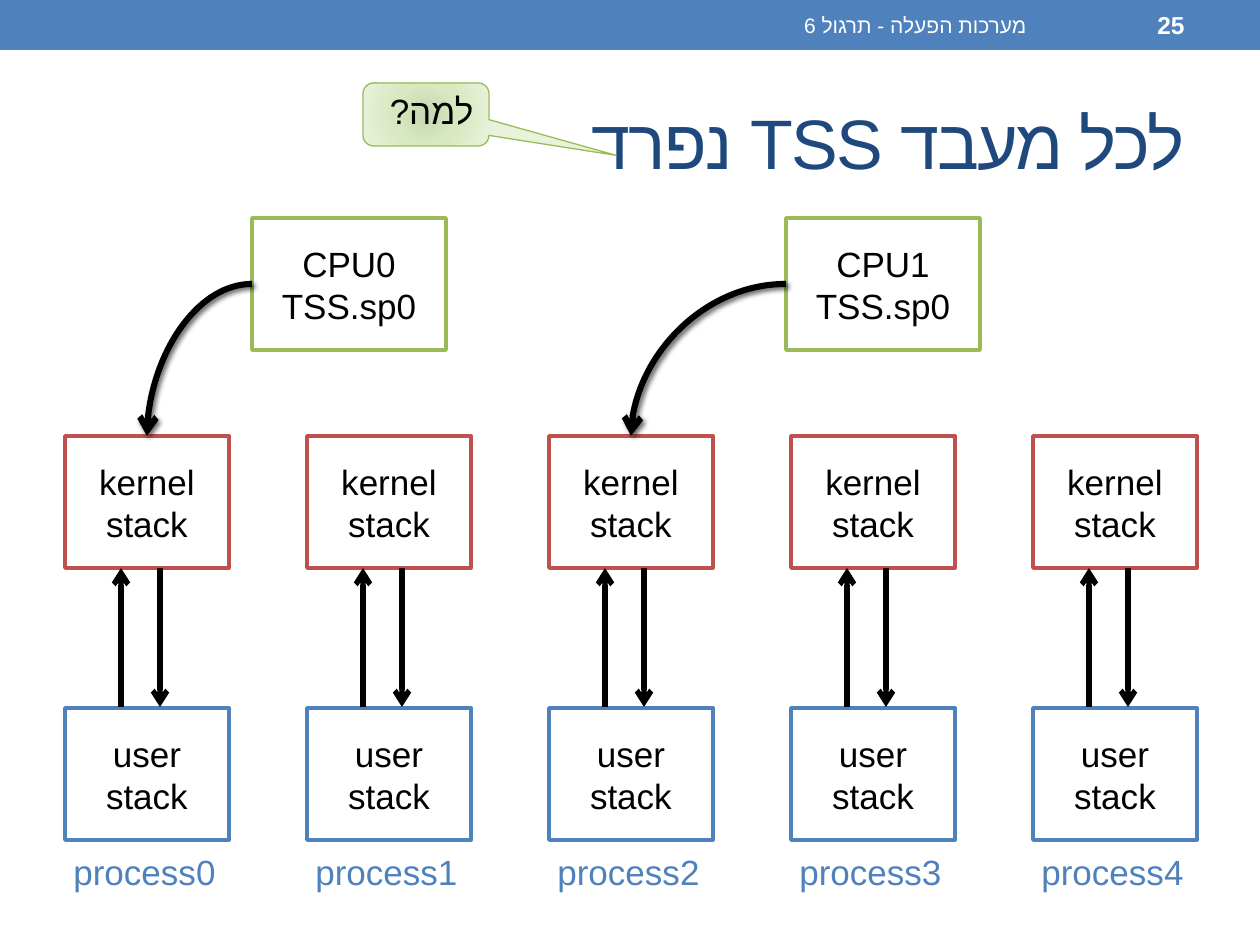
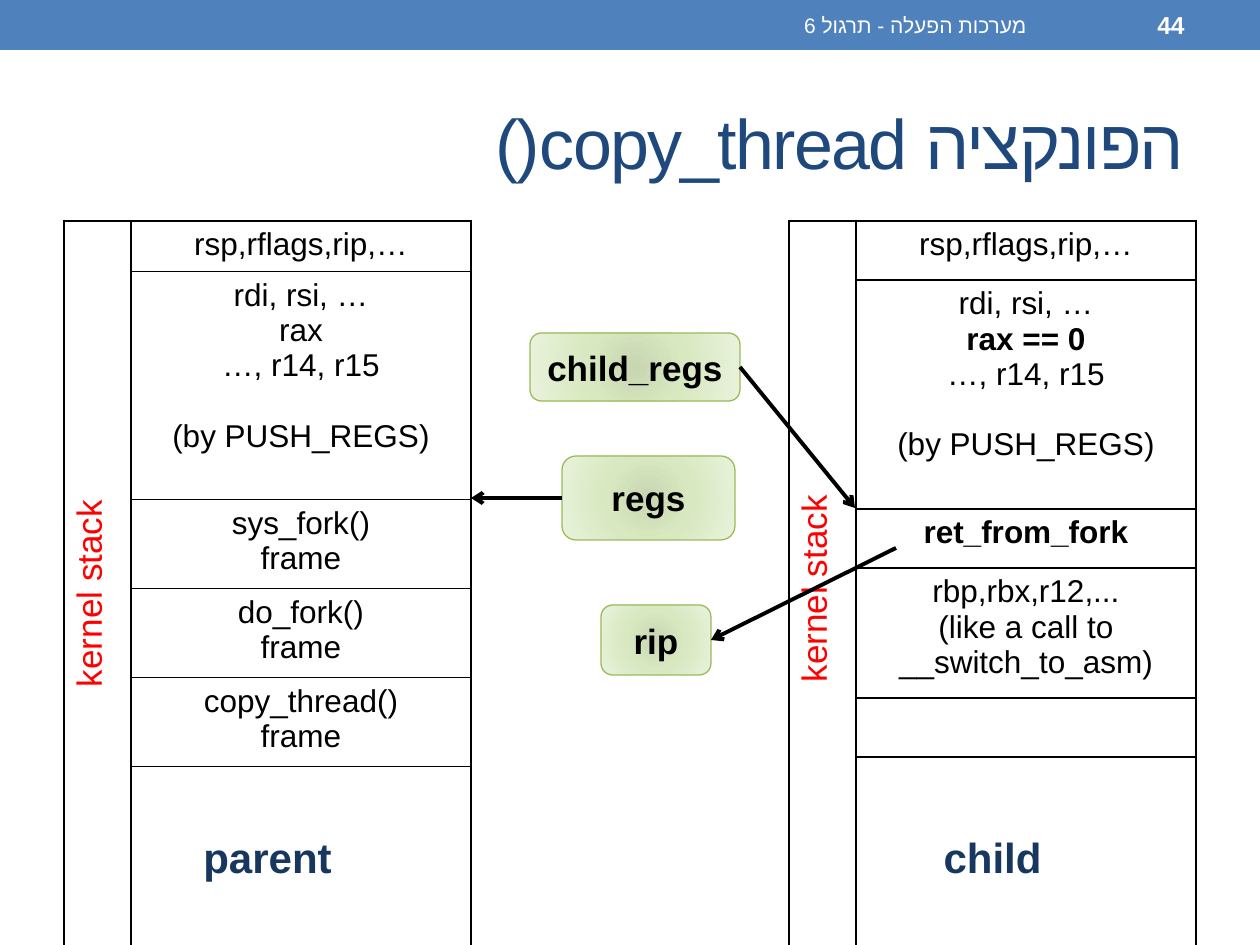
import lxml.etree
import pptx
import pptx.dml.color
import pptx.enum.shapes
import pptx.enum.text
import pptx.oxml
import pptx.oxml.ns
import pptx.util

PX = 914400 / 126  # EMU in one px
SHAPE = pptx.enum.shapes.MSO_SHAPE
CONNECTOR = pptx.enum.shapes.MSO_CONNECTOR
ALIGN = pptx.enum.text.PP_ALIGN
rgb = pptx.dml.color.RGBColor.from_string
pt = pptx.util.Pt
qn = pptx.oxml.ns.qn
nsdecls = pptx.oxml.ns.nsdecls


class Theme:
    font = "Arial"
    blue, red, green = "4F81BD", "C0504D", "9BBB59"
    white, black = "FFFFFF", "000000"
    gradient = ((0, "C8D7B2"), (45, "D8E8C0"), (100, "E9F3DC"))
    # type styles: size, colour, bold
    title = (40, "1F497D", False)
    course = (12, white, False)
    number = (14, white, True)
    box = (20, black, False)
    pill = (20, black, True)
    process = (20, blue, False)
    cell = (18, black, False)
    stack_side = (20, "FF0000", False)
    owner = (24, "17375E", True)


def write(frame, text, style, align=ALIGN.CENTER, rtl=False):
    """Fill a text frame with one style; a newline starts a paragraph."""
    size, color, bold = style
    frame.text = text
    frame.word_wrap = True
    for paragraph in frame.paragraphs:
        paragraph.alignment = align
        if rtl:
            paragraph._p.get_or_add_pPr().set("rtl", "1")
        for run in paragraph.runs:
            for name, value in {"name": Theme.font, "size": pt(size), "bold": bold}.items():
                setattr(run.font, name, value)
            run.font.color.rgb = rgb(color)
            lxml.etree.SubElement(run._r.get_or_add_rPr(), qn("a:cs"), typeface=Theme.font)


def add_box(slide, preset, at, text, style, outline=None, weight=2.08, **layout):
    """Add a text box (no preset), a white outlined box, or a green gradient one."""
    at = [round(value * PX) for value in at]
    if preset is None:
        box = slide.shapes.add_textbox(*at)
    else:
        box = slide.shapes.add_shape(preset, *at)
        box.shadow.inherit = False
        box.line.color.rgb = rgb(outline)
        box.line.width = pt(weight)
        if preset == SHAPE.RECTANGLE:
            box.fill.solid()
            box.fill.fore_color.rgb = rgb(Theme.white)
        else:
            stops = "".join(
                f'<a:gs pos="{pos * 1000}"><a:srgbClr val="{color}"/></a:gs>'
                for pos, color in Theme.gradient)
            box._element.spPr.insert(2, pptx.oxml.parse_xml(
                f'<a:gradFill {nsdecls("a")}><a:gsLst>{stops}</a:gsLst><a:path path="circle">'
                '<a:fillToRect l="100000" t="100000" r="100000" b="100000"/>'
                '</a:path></a:gradFill>'))
    box.text_frame.vertical_anchor = pptx.enum.text.MSO_ANCHOR.MIDDLE
    write(box.text_frame, text, style, **layout)
    return box


deck = pptx.Presentation()
deck.slide_width = round(1260 * PX)
deck.slide_height = round(945 * PX)

# Shared layout: title place and top band
title_only = deck.slide_layouts[5]
title_place = {"left": 63, "top": 73, "width": 1134, "height": 136}
for name, value in title_place.items():
    setattr(title_only.placeholders[0], name, round(value * PX))

slides = []
for number, heading in (("25", "לכל מעבד TSS נפרד"), ("44", "הפונקציה copy_thread()")):
    slide = deck.slides.add_slide(title_only)
    slides.append(slide)
    heading_frame = slide.shapes.title.text_frame
    heading_frame.vertical_anchor = pptx.enum.text.MSO_ANCHOR.MIDDLE
    write(heading_frame, heading, Theme.title, ALIGN.RIGHT, rtl=True)
    for run in heading_frame.paragraphs[0].runs:
        run._r.get_or_add_rPr().set("spc", "-100")
    for at, text, style in (((472, 2, 567, 46), "מערכות הפעלה - תרגול 6", Theme.course),
                            ((1050, 2, 147, 46), number, Theme.number)):
        add_box(slide, None, at, text, style, align=ALIGN.RIGHT, rtl=True)
tss_slide, fork_slide = slides

band = tss_slide.shapes.add_shape(SHAPE.RECTANGLE, 0, 0, deck.slide_width, round(50 * PX))
band.shadow.inherit = False
band.fill.solid()
band.fill.fore_color.rgb = rgb(Theme.blue)
band.line.fill.background()
title_only.shapes.element.insert(2, band.element)

# Arrows: slide, kind, start, end, weight, (box, side) at start, (box, side) at end
arrows = []

# TSS slide: one kernel stack and one user stack per process
kernel_stacks = []
for process in range(5):
    shift = 242 * process
    kernel_stacks.append(add_box(tss_slide, SHAPE.RECTANGLE, (65 + shift, 436, 164, 132),
                                 "kernel stack", Theme.box, Theme.red))
    add_box(tss_slide, SHAPE.RECTANGLE, (65 + shift, 708, 164, 132),
            "user stack", Theme.box, Theme.blue)
    add_box(tss_slide, None, (50 + shift, 847, 189, 49), f"process{process}", Theme.process)
    for start, end in (((121, 707), (121, 568)), ((160, 568), (160, 707))):
        arrows.append((tss_slide, CONNECTOR.STRAIGHT, (start[0] + shift, start[1]),
                       (end[0] + shift, end[1]), 3, None, None))

# TSS slide: each CPU points at the kernel stack of its running process
for cpu, (left, process) in enumerate(((252, 0), (786, 2))):
    tss = add_box(tss_slide, SHAPE.RECTANGLE, (left, 218, 194, 132),
                  f"CPU{cpu}\nTSS.sp0", Theme.box, Theme.green)
    arrows.append((tss_slide, CONNECTOR.CURVE, (left, 284), (147 + 242 * process, 436), 3.5,
                   (tss, 1), (kernel_stacks[process], 0)))

why = add_box(tss_slide, SHAPE.ROUNDED_RECTANGULAR_CALLOUT, (363, 83, 126, 63), "למה?",
              Theme.box, Theme.green, 0.75, align=ALIGN.RIGHT, rtl=True)
for index, value in enumerate((1.51, 0.65, 0.17)):
    why.adjustments[index] = value
why.text_frame.paragraphs[0].line_spacing = 0.8
why.text_frame.paragraphs[0].space_before = pt(4)

# Fork slide: kernel stacks of parent and child, as (row height, text)
parent_rows = (
    (50, "rsp,rflags,rip,…"),
    (228, "rdi, rsi, …\vrax\v…, r14, r15\n(by PUSH_REGS)"),
    (89, "sys_fork()\nframe"),
    (89, "do_fork()\nframe"),
    (89, "copy_thread()\nframe"),
    (50, ""),
)
child_rows = (
    (59, "rsp,rflags,rip,…"),
    (229, "rdi, rsi, …\nrax == 0\n…, r14, r15\n(by PUSH_REGS)"),
    (59, "ret_from_fork"),
    (130, "rbp,rbx,r12,...\v(like a call to __switch_to_asm)"),
    (59, ""),
    (59, ""),
)
emphasised = ("rax == 0", "ret_from_fork")
column_widths = (67, 340)

for left, owner, owner_left, rows in ((64, "parent", 156, parent_rows),
                                      (789, "child", 881, child_rows)):
    total = sum(height for height, _ in rows)
    stack = fork_slide.shapes.add_table(
        len(rows), 2, *(round(v * PX) for v in (left, 221, sum(column_widths), total))).table
    stack.first_row = stack.horz_banding = False
    for column, width in zip(stack.columns, column_widths):
        column.width = round(width * PX)
    stack.cell(0, 0).merge(stack.cell(len(rows) - 1, 0))
    for cell in stack.iter_cells():
        for side in ("L", "R", "T", "B"):
            cell._tc.get_or_add_tcPr().append(pptx.oxml.parse_xml(
                f'<a:ln{side} {nsdecls("a")} w="12700"><a:solidFill>'
                f'<a:srgbClr val="{Theme.black}"/></a:solidFill></a:ln{side}>'))
        cell.fill.background()
    write(stack.cell(0, 0).text_frame, "kernel stack", Theme.stack_side)
    stack.cell(0, 0)._tc.get_or_add_tcPr().set("vert", "vert270")
    for index, (height, text) in enumerate(rows):
        stack.rows[index].height = round(height * PX)
        frame = stack.cell(index, 1).text_frame
        write(frame, text, Theme.cell)
        for paragraph in frame.paragraphs:
            if paragraph.text in emphasised:
                paragraph.runs[0].font.bold = True
            if paragraph.text == "(by PUSH_REGS)":
                paragraph.space_before = pt(20)
    add_box(fork_slide, None, (owner_left, 825, 223, 64), owner, Theme.owner)

# Fork slide: pointers into the stacks
rip, regs, child_regs = (
    add_box(fork_slide, SHAPE.ROUNDED_RECTANGLE, at, text, Theme.pill, Theme.green, 0.75)
    for text, at in (("rip", (601, 605, 110, 70)),
                     ("regs", (562, 456, 173, 84)),
                     ("child_regs", (530, 333, 210, 68))))
arrows += [
    (fork_slide, CONNECTOR.STRAIGHT, (896, 548), (711, 640), 2.25, None, (rip, 3)),
    (fork_slide, CONNECTOR.STRAIGHT, (562, 498), (471, 498), 2.25, (regs, 1), None),
    (fork_slide, CONNECTOR.STRAIGHT, (740, 367), (855, 508), 2.25, (child_regs, 3), None),
]

# Draw the arrows; the curved ones carry a soft shadow
for slide, kind, start, end, weight, source, target in arrows:
    arrow = slide.shapes.add_connector(kind, *(round(v * PX) for v in start + end))
    if source:
        arrow.begin_connect(*source)
    if target:
        arrow.end_connect(*target)
    arrow.line.color.rgb = rgb(Theme.black)
    arrow.line.width = pt(weight)
    properties = arrow._element.spPr
    lxml.etree.SubElement(properties.find(qn("a:ln")), qn("a:tailEnd"), type="arrow")
    effects = lxml.etree.SubElement(properties, qn("a:effectLst"))
    if kind == CONNECTOR.CURVE:
        properties.find(qn("a:prstGeom")).set("prst", "curvedConnector2")
        shadow = lxml.etree.SubElement(effects, qn("a:outerShdw"), blurRad="38100",
                                       dist="25400", dir="2700000")
        shade = lxml.etree.SubElement(shadow, qn("a:srgbClr"), val=Theme.black)
        lxml.etree.SubElement(shade, qn("a:alpha"), val="60000")

deck.save("out.pptx")
